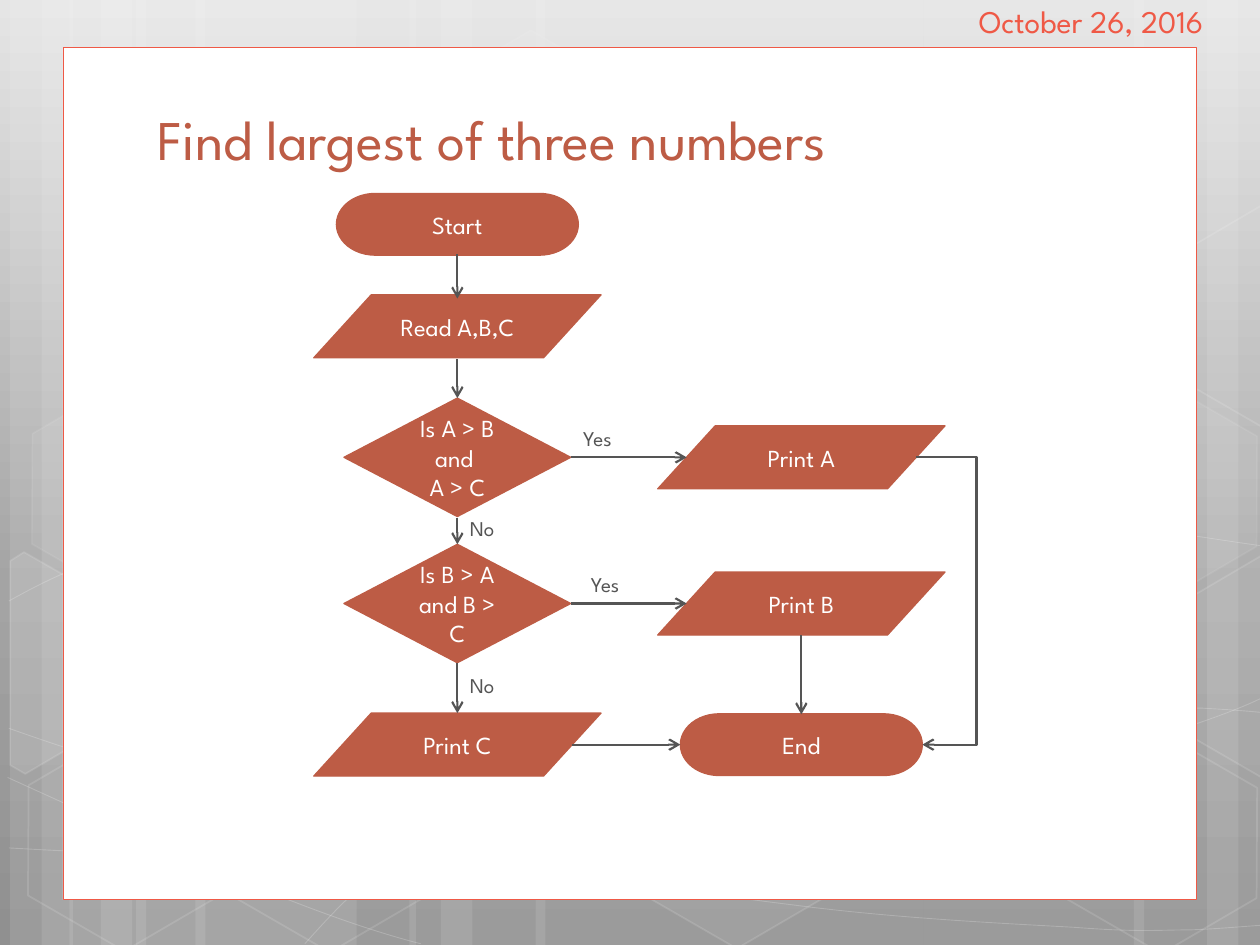
from copy import deepcopy
from math import cos, pi, sin

from pptx import Presentation, util as u
from pptx.dml.color import RGBColor
from pptx.enum import shapes as sh, text as tx
from pptx.oxml.ns import qn
from pptx.oxml.xmlchemy import OxmlElement

RUST = RGBColor(0xBD, 0x5C, 0x45)
CORAL = RGBColor(0xEF, 0x59, 0x46)
GREY = RGBColor(0x55, 0x55, 0x55)
WHITE = RGBColor(0xFF, 0xFF, 0xFF)
SKY = [(0, RGBColor(0xE5, 0xE5, 0xE5)), (0.62, RGBColor(0xA4, 0xA4, 0xA4)),
       (1, RGBColor(0x90, 0x90, 0x90))]
FONT = "League Spartan"
KIND = sh.MSO_SHAPE


def glass(shape, fill, line, width=1):
    """White fill and line at the given percent of opacity; 0 means none."""
    shape.shadow.inherit = False
    for part, level in ((shape.fill, fill), (shape.line.fill, line)):
        if level:
            part.solid()
            part.fore_color.rgb = WHITE
        else:
            part.background()
    if line:
        shape.line.width = u.Pt(width)
    levels = [n for n in (fill, line) if n]
    for tint, level in zip(shape.element.spPr.iter(qn("a:srgbClr")), levels):
        alpha = OxmlElement("a:alpha")
        alpha.set("val", str(level * 1000))
        tint.append(alpha)


def write(shape, words, size, color, align=tx.PP_ALIGN.LEFT):
    frame = shape.text_frame
    frame.word_wrap = True
    frame.text = words
    for para in frame.paragraphs:
        para.alignment = align
        for run in para.runs:
            run.font.name = FONT
            run.font.size = u.Pt(size)
            run.font.color.rgb = color
    return frame


deck = Presentation()
deck.slide_width, deck.slide_height = u.Inches(10), u.Inches(7.5)
slide = deck.slides.add_slide(deck.slide_layouts[5])
items = slide.shapes

# Background gradient, top to bottom
fill = slide.background.fill
fill.gradient()
fill.gradient_angle = 270
stops = slide.element.find(".//" + qn("a:gsLst"))
stops.append(deepcopy(stops[0]))
for stop, (place, color) in zip(fill.gradient_stops, SKY):
    stop.position = place
    stop.color.rgb = color

# Full-height strips: left, width
for x, w in [(1.08, 1.75), (0.08, 0.5), (0.33, 0.83), (1.55, 1.75), (0.55, 0.5),
             (0.8, 0.83), (7.33, 1.75), (9.58, 0.5), (9, 0.83), (4.25, 3.08),
             (3.25, 0.5), (3.5, 0.83)]:
    strip = items.add_shape(KIND.RECTANGLE, u.Inches(x), 0,
                            u.Inches(w), deck.slide_height)
    glass(strip, 10, 0)

# Thin waves: a start point, then two handles and an end for each bend
waves = [
    [(0.07, 6.73), (0.61, 6.76), (1.15, 6.79), (1.9, 6.78), (2.65, 6.77),
     (3.58, 6.75), (4.58, 6.65), (5.58, 6.55), (7, 6.36), (7.92, 6.17),
     (8.83, 5.98), (9.77, 5.68), (10.07, 5.51)],
    [(0.07, 4.77), (0.36, 4.61), (0.65, 4.46), (1.21, 4.31), (1.78, 4.16),
     (2.59, 3.94), (3.47, 3.87), (4.36, 3.8), (5.44, 3.79), (6.54, 3.87),
     (7.64, 3.95), (9.47, 4.26), (10.07, 4.34)],
    [(0.06, 6.17), (1.27, 6.72), (2.47, 7.27), (3.34, 7.49)],
    [(0.07, 5.78), (0.38, 5.89), (0.7, 6), (1.28, 6.16), (1.86, 6.31),
     (2.73, 6.56), (3.57, 6.73), (4.4, 6.9), (5.45, 7.08), (6.28, 7.18),
     (7.11, 7.29), (8, 7.33), (8.53, 7.36), (9.05, 7.4), (9.19, 7.38),
     (9.45, 7.38), (9.71, 7.37), (9.89, 7.35), (10.07, 7.34)],
    [(2.42, 7.49), (2.6, 7.29), (2.78, 7.09), (3.02, 6.91), (3.26, 6.73),
     (3.6, 6.53), (3.88, 6.39), (4.16, 6.25), (4.33, 6.19), (4.7, 6.09),
     (5.06, 5.99), (5.73, 5.85), (6.08, 5.78), (6.44, 5.71), (6.49, 5.71),
     (6.8, 5.69), (7.11, 5.66), (7.6, 5.63), (7.94, 5.62), (8.29, 5.61),
     (8.86, 5.62), (8.86, 5.62), (9.1, 5.62), (9.3, 5.62), (9.53, 5.62),
     (9.71, 5.63), (9.88, 5.64), (10.06, 5.66)],
]
for wave in waves:
    dots = [(u.Inches(x), u.Inches(y)) for x, y in wave]
    pen = items.build_freeform(*dots[0])
    pen.add_line_segments(dots[1:], close=False)
    curve = pen.convert_to_shape()
    # Join every three straight steps into one bend
    steps = list(curve.element.spPr.iter(qn("a:lnTo")))
    for i in range(0, len(steps), 3):
        bend = OxmlElement("a:cubicBezTo")
        steps[i].addprevious(bend)
        for step in steps[i:i + 3]:
            bend.append(step[0])
            step.getparent().remove(step)
    glass(curve, 0, 20, 0.5)

# Hexagons: left, top, fill and line opacity
for x, y, body, edge in [(3.34, 0.36, 4, 8), (4.97, 5.89, 6, 12), (0.11, 5.91, 0, 12),
                         (0.14, 3.12, 7, 8), (1.74, 5.92, 0, 12), (7.53, 4.53, 10, 12),
                         (8.34, 5.93, 0, 12), (8.34, 3.14, 7, 8)]:
    cell = items.add_shape(KIND.HEXAGON, u.Inches(x), u.Inches(y),
                           u.Inches(1.75), u.Inches(1.52))
    cell.adjustments[0] = 0.285
    cell.rotation = 30
    glass(cell, body, edge)

# Hexagons cut off by the slide's edges: fill, centre, corners as they stand
turn = pi / 6
for body, cx, cy, dots in [
    (10, 0.36, 5.35, [(0.08, 4.45), (0.19, 4.38), (0.96, 4.82), (0.95, 5.7),
                      (0.2, 6.14), (0.08, 6.07)]),
    (4, 9.85, 5.2, [(9.26, 4.85), (10.01, 4.41), (10.09, 4.46), (10.09, 6.13),
                    (10.02, 6.17), (9.26, 5.73)]),
    (0, 9.85, 2.41, [(9.26, 2.07), (10.01, 1.63), (10.1, 1.68), (10.09, 3.35),
                     (10.02, 3.39), (9.26, 2.95)]),
]:
    flat = [(u.Inches(cx + (x - cx) * cos(turn) + (y - cy) * sin(turn)),
             u.Inches(cy - (x - cx) * sin(turn) + (y - cy) * cos(turn)))
            for x, y in dots]
    pen = items.build_freeform(*flat[0])
    pen.add_line_segments(flat[1:])
    cell = pen.convert_to_shape()
    cell.rotation = 30
    glass(cell, body, 12)

# White panel
panel = items.add_shape(KIND.RECTANGLE, u.Inches(0.5), u.Inches(0.38),
                        u.Inches(9), u.Inches(6.76))
panel.shadow.inherit = False
panel.fill.solid()
panel.fill.fore_color.rgb = WHITE
panel.line.color.rgb = CORAL
panel.line.width = u.Pt(0.5)

# Title, brought in front of the panel
title = items.title
title.left, title.top = u.Inches(1.15), u.Inches(0.79)
title.width, title.height = u.Inches(7.85), u.Inches(0.62)
frame = write(title, "Find largest of three numbers", 32, RUST)
frame.vertical_anchor = tx.MSO_ANCHOR.BOTTOM
frame.auto_size = tx.MSO_AUTO_SIZE.NONE
panel.element.addnext(title.element)

# Date and branch labels
for words, x, y, w, h, size, color in [
    ("October 26, 2016", 7.67, -0.03, 2.33, 0.27, 18, CORAL),
    ("Yes", 4.53, 3.33, 0.52, 0.3, 12, GREY),
    ("No", 3.63, 4.04, 0.52, 0.3, 12, GREY),
    ("Yes", 4.59, 4.49, 0.52, 0.3, 12, GREY),
    ("No", 3.63, 5.29, 0.52, 0.3, 12, GREY),
]:
    box = items.add_textbox(u.Inches(x), u.Inches(y), u.Inches(w), u.Inches(h))
    write(box, words, size, color)

# Flowchart steps, centred on two columns and five rows
cols = [3.63, 6.36]
rows = [1.78, 2.59, 3.63, 4.79, 5.91]
ENDS = (KIND.FLOWCHART_TERMINATOR, 1.92, 0.49)
DATA = (KIND.FLOWCHART_DATA, 2.28, 0.5)
TEST = (KIND.FLOWCHART_DECISION, 1.8, 0.94)
for words, (kind, w, h), col, row in [
    ("Start", ENDS, 0, 0), ("Read A,B,C", DATA, 0, 1),
    ("Is A > B and \nA > C", TEST, 0, 2), ("Print A", DATA, 1, 2),
    ("Is B > A and B > C", TEST, 0, 3), ("Print B", DATA, 1, 3),
    ("Print C", DATA, 0, 4), ("End", ENDS, 1, 4),
]:
    step = items.add_shape(kind, u.Inches(cols[col] - w / 2), u.Inches(rows[row] - h / 2),
                           u.Inches(w), u.Inches(h))
    step.shadow.inherit = False
    step.fill.solid()
    step.fill.fore_color.rgb = RUST
    step.line.color.rgb = RUST
    step.line.width = 0
    frame = write(step, words, 14, WHITE, tx.PP_ALIGN.CENTER)
    frame.vertical_anchor = tx.MSO_ANCHOR.MIDDLE

# Arrows: from, to; the last one bends round the right side
left, right = cols
for x1, y1, x2, y2 in [
    (left, 2.02, left, 2.37), (left, 2.85, left, 3.16), (left, 4.11, left, 4.32),
    (left, 5.26, left, 5.66), (right, 5.04, right, 5.67),
    (4.53, rows[2], 5.45, rows[2]), (4.53, rows[3], 5.45, rows[3]),
    (4.54, rows[4], 5.4, rows[4]), (7.27, rows[2], 7.32, rows[4]),
]:
    bent = x1 != x2 and y1 != y2
    kind = sh.MSO_CONNECTOR.ELBOW if bent else sh.MSO_CONNECTOR.STRAIGHT
    arrow = items.add_connector(kind, *map(u.Inches, (x1, y1, x2, y2)))
    arrow.line.color.rgb = GREY
    arrow.line.width = u.Pt(1.25)
    tip = OxmlElement("a:tailEnd")
    tip.set("type", "arrow")
    arrow.element.spPr.find(qn("a:ln")).append(tip)
    arrow.element.spPr.append(OxmlElement("a:effectLst"))
    if bent:
        guide = OxmlElement("a:gd")
        guide.set("name", "adj1")
        guide.set("fmla", f"val {round((7.75 - x1) / (x2 - x1) * 100000)}")
        arrow.element.spPr.find(".//" + qn("a:avLst")).append(guide)

deck.save("out.pptx")
